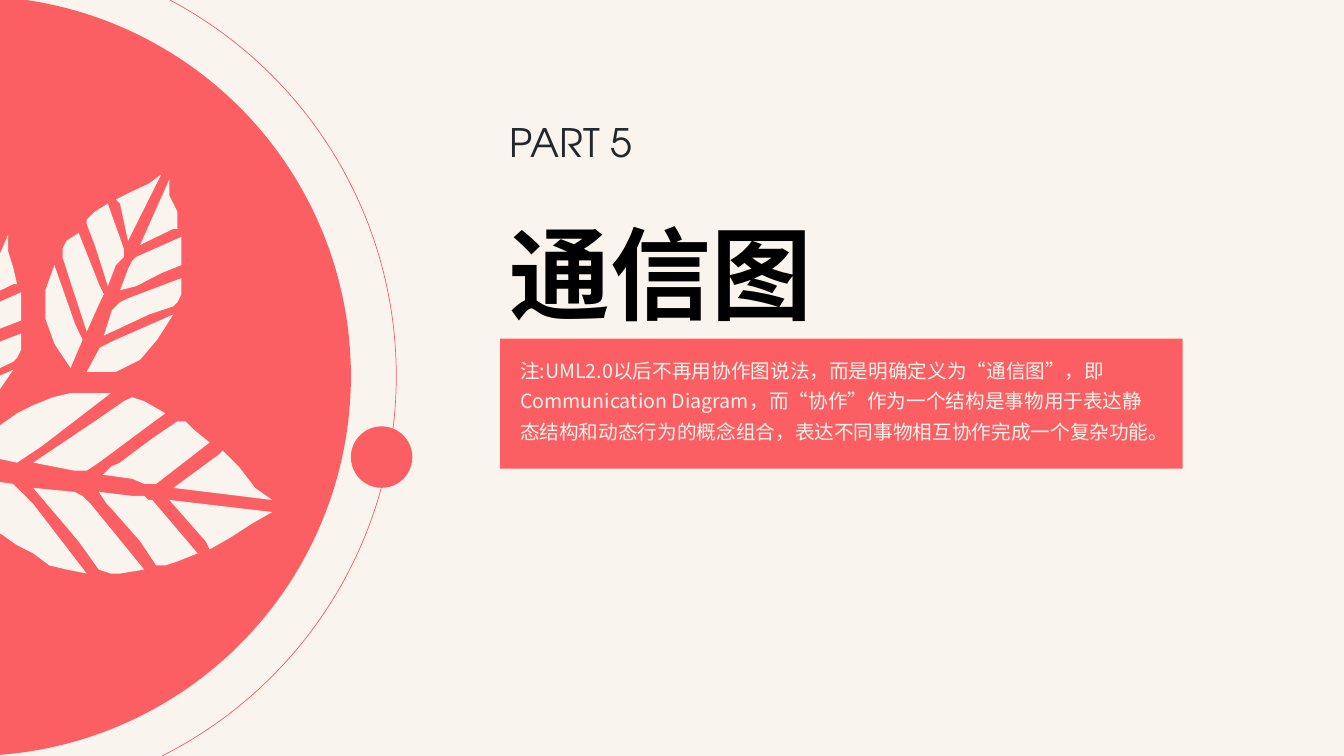
from typing import NamedTuple

from lxml import etree
from pptx import Presentation
from pptx.dml.color import RGBColor
from pptx.enum.shapes import MSO_SHAPE
from pptx.enum.text import MSO_ANCHOR
from pptx.oxml.ns import qn
from pptx.util import Inches, Pt

OVAL, RECT = MSO_SHAPE.OVAL, MSO_SHAPE.RECTANGLE
TOP, MIDDLE = MSO_ANCHOR.TOP, MSO_ANCHOR.MIDDLE
CORAL, CREAM, PALE = "FB5F63", "F9F5EE", "F8F5ED"
SANS, ROUND = "Noto Sans CJK SC", "TeX Gyre Adventor"

Point = tuple[float, float]


class Box(NamedTuple):
    left: float
    top: float
    width: float
    height: float


class Disc(NamedTuple):
    left: float
    top: float
    size: float
    fill: str | None = None
    line: str | None = None


DISCS = [
    Disc(-4.51, -0.49, 8.44, line=CORAL),
    Disc(-4.06, -0.04, 7.54, fill=CORAL),
    Disc(3.48, 4.23, 0.61, fill=CORAL),
]

# Each leaf is a list of the lobes between its veins.
LOW_LEAF: list[list[Point]] = [
    [(2.04, 5.37), (2.08, 5.45), (2.29, 5.33), (2.49, 5.2), (2.7, 5.08),
     (1.68, 4.96)],
    [(1.31, 4.92), (0.98, 4.88), (1.06, 5), (1.1, 5.04), (1.39, 5.37),
     (1.55, 5.61), (1.64, 5.61), (1.76, 5.57), (1.96, 5.49), (1.51, 4.96),
     (1.47, 4.96), (1.43, 4.92)],
    [(0.74, 4.88), (0.33, 4.84), (0.78, 5.37), (0.98, 5.65), (1.1, 5.69),
     (1.19, 5.69), (1.43, 5.65), (0.9, 5), (0.82, 4.92)],
    [(0.13, 4.8), (-0.24, 4.75), (-0.2, 4.96), (-0.12, 5.12), (0, 5.29),
     (0.17, 5.41), (0.33, 5.49), (0.49, 5.61), (0.66, 5.65), (0.86, 5.69),
     (0.33, 5), (0.25, 4.92)],
    [(2.37, 4.63), (2.21, 4.47), (2.17, 4.51), (1.72, 4.84), (2.7, 4.96),
     (2.53, 4.84)],
    [(1.19, 4.59), (1.1, 4.63), (1.02, 4.71), (1.31, 4.75), (1.43, 4.8),
     (1.55, 4.8), (2.08, 4.39), (1.92, 4.26), (1.84, 4.18), (1.76, 4.18),
     (1.51, 4.35)],
    [(0.98, 4.59), (1.64, 4.1), (1.43, 3.98), (1.31, 3.94), (1.23, 3.98),
     (0.94, 4.18), (0.33, 4.59), (0.74, 4.67), (0.86, 4.67)],
    [(-0.2, 4.51), (0.17, 4.59), (0.29, 4.51), (0.41, 4.43), (1.1, 3.9),
     (0.7, 3.9), (0.53, 3.94), (0.33, 4.02), (0.17, 4.1), (0, 4.22),
     (-0.12, 4.35)],
]
LEFT_LEAF: list[list[Point]] = [
    [(0.17, 2.82), (0.13, 2.65), (0.08, 2.49), (0.08, 2.33), (-0.2, 2.98),
     (0.13, 2.82)],
    [(0.21, 2.9), (-0.24, 3.1), (-0.28, 3.18), (-0.32, 3.26), (-0.41, 3.43),
     (-0.28, 3.39), (0, 3.26), (0.21, 3.18)],
    [(0.21, 3.31), (-0.32, 3.51), (-0.41, 3.55), (-0.49, 3.63),
     (-0.57, 3.88), (-0.12, 3.71), (0.13, 3.59), (0.17, 3.55), (0.21, 3.47)],
    [(0.13, 3.67), (-0.45, 3.92), (-0.57, 3.96), (-0.65, 4), (-0.73, 4.29),
     (-0.61, 4.24), (-0.49, 4.24), (-0.24, 4.12), (-0.04, 3.92)],
]
HIGH_LEAF: list[list[Point]] = [
    [(1.27, 2.39), (1.6, 1.73), (1.48, 1.82), (1.31, 1.9), (1.15, 1.98),
     (1.19, 2.02)],
    [(1.03, 2.71), (1.07, 2.84), (1.15, 2.63), (1.23, 2.55), (1.23, 2.47),
     (1.07, 2.02), (0.94, 2.1), (0.86, 2.18), (0.86, 2.22), (0.94, 2.43)],
    [(0.7, 2.8), (0.86, 3.29), (0.99, 3), (1.03, 2.92), (0.99, 2.84),
     (0.78, 2.31), (0.66, 2.39), (0.62, 2.47), (0.62, 2.55)],
    [(0.74, 3.2), (0.54, 2.63), (0.45, 2.88), (0.45, 3.16), (0.54, 3.41),
     (0.62, 3.53), (0.7, 3.65), (0.82, 3.37), (0.78, 3.29)],
    [(1.72, 2.27), (1.76, 2.27), (1.76, 2.1), (1.68, 1.94), (1.68, 1.78),
     (1.39, 2.43)],
    [(1.27, 2.67), (1.19, 2.88), (1.35, 2.84), (1.6, 2.71), (1.8, 2.63),
     (1.8, 2.35), (1.35, 2.55), (1.31, 2.59)],
    [(1.72, 3.04), (1.76, 3), (1.8, 2.92), (1.8, 2.76), (1.27, 2.96),
     (1.19, 3), (1.11, 3.08), (1.03, 3.33), (1.48, 3.12)],
    [(0.99, 3.45), (0.86, 3.69), (1.15, 3.69), (1.39, 3.57), (1.56, 3.37),
     (1.72, 3.12), (1.15, 3.37), (1.07, 3.41)],
]


def color(code: str) -> RGBColor:
    return RGBColor.from_string(code)


def paint(shape, fill: str | None = None, line: str | None = None) -> None:
    shape.shadow.inherit = False
    if fill:
        shape.fill.solid()
        shape.fill.fore_color.rgb = color(fill)
    else:
        shape.fill.background()
    if line:
        shape.line.color.rgb = color(line)
        shape.line.width = Pt(0.5)
    else:
        shape.line.fill.background()


def add_shape(slide, kind, box: Box, fill: str | None = None,
              line: str | None = None) -> None:
    shape = slide.shapes.add_shape(kind, *map(Inches, box))
    paint(shape, fill, line)


def add_leaf(slide, lobes: list[list[Point]]) -> None:
    group = slide.shapes.add_group_shape()
    for lobe in lobes:
        first, *rest = [(Inches(x), Inches(y)) for x, y in lobe]
        pen = group.shapes.build_freeform(*first)
        pen.add_line_segments(rest, close=True)
        paint(pen.convert_to_shape(), CREAM)


def add_text(slide, text: str, box: Box, *, size: float, ink: str,
             face: str = SANS, bold: bool = False, anchor=MIDDLE,
             space: float = 1.3) -> None:
    frame = slide.shapes.add_textbox(*map(Inches, box)).text_frame
    frame.word_wrap = True
    frame.vertical_anchor = anchor
    par = frame.paragraphs[0]
    par.line_spacing = space
    run = par.add_run()
    run.text = text
    font = run.font
    font.name, font.size, font.bold = face, Pt(size), bold
    font.color.rgb = color(ink)
    east = etree.SubElement(run._r.get_or_add_rPr(), qn("a:ea"))
    east.set("typeface", face)


def main() -> None:
    deck = Presentation()
    deck.slide_width, deck.slide_height = Inches(13.33), Inches(7.5)
    slide = deck.slides.add_slide(deck.slide_layouts[6])
    back = slide.background.fill
    back.solid()
    back.fore_color.rgb = color(CREAM)

    add_shape(slide, RECT, Box(4.96, 3.36, 6.77, 1.29), CORAL)
    add_text(slide, "PART 5", Box(4.96, 0.97, 2.57, 0.74),
             size=28, ink="22272C", face=ROUND)
    add_text(slide, "通信图", Box(4.96, 1.92, 6.77, 1.2),
             size=72, ink="000000", bold=True)
    add_text(slide, "注:UML2.0以后不再用协作图说法，而是明确定义为“通信图”，"
             "即Communication Diagram，而“协作”作为一个结构是事物用于表达静"
             "态结构和动态行为的概念组合，表达不同事物相互协作完成一个复杂功能。",
             Box(5.06, 3.44, 6.51, 1.13), size=14, ink=PALE, anchor=TOP)

    for disc in DISCS:
        box = Box(disc.left, disc.top, disc.size, disc.size)
        add_shape(slide, OVAL, box, disc.fill, disc.line)
    for leaf in (LOW_LEAF, LEFT_LEAF, HIGH_LEAF):
        add_leaf(slide, leaf)
    deck.save("out.pptx")


if __name__ == "__main__":
    main()
